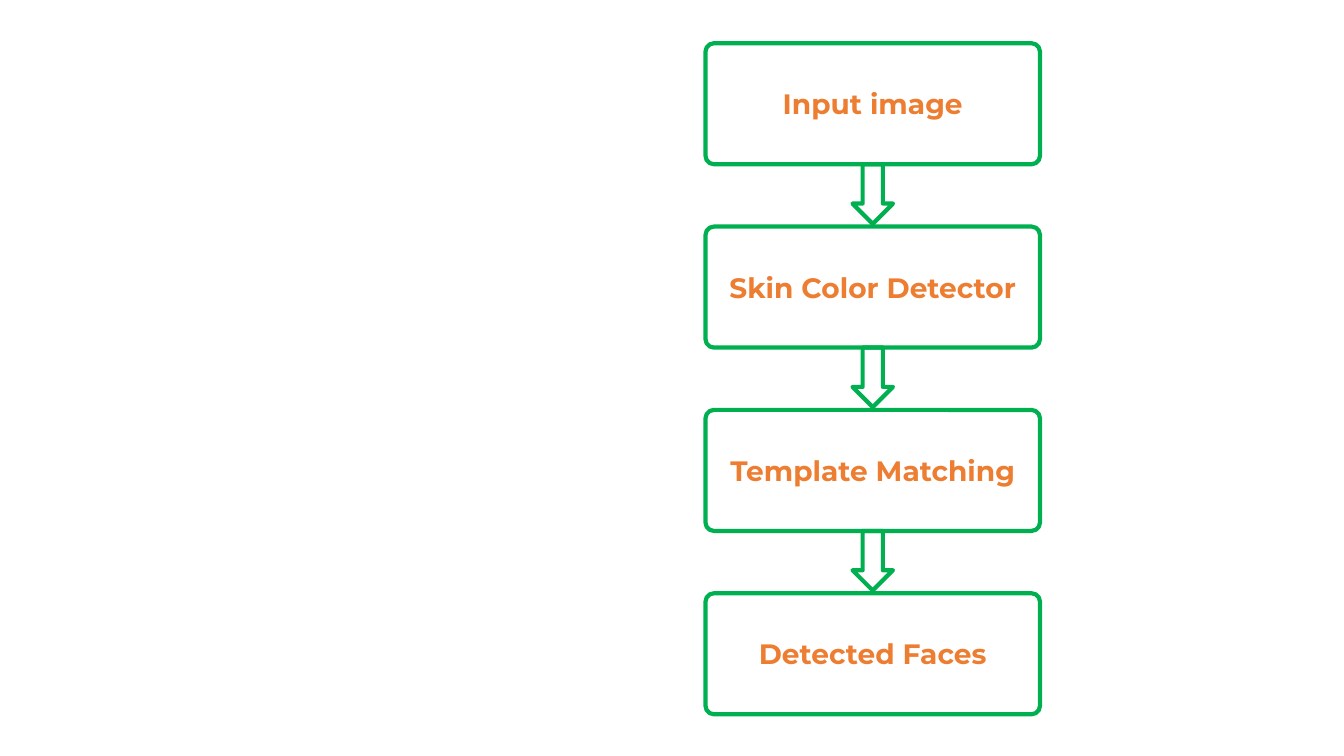
from dataclasses import dataclass

from pptx import Presentation
from pptx.dml.color import RGBColor as Rgb
from pptx.enum.shapes import MSO_SHAPE as Kind
from pptx.enum.text import MSO_ANCHOR as Anchor, PP_ALIGN as Align
from pptx.util import Cm, Pt


@dataclass(frozen=True)
class Theme:
    green: Rgb = Rgb(0x00, 0xB0, 0x50)
    orange: Rgb = Rgb(0xED, 0x7D, 0x31)
    font: str = "Montserrat"
    size: Pt = Pt(20)
    line: Pt = Pt(3)


theme = Theme()

deck = Presentation()
deck.slide_width, deck.slide_height = Cm(33.87), Cm(19.05)
slide = deck.slides.add_slide(deck.slide_layouts[6])


def outline(kind, left, top, width, height):
    shape = slide.shapes.add_shape(kind, Cm(left), Cm(top), Cm(width), Cm(height))
    shape.shadow.inherit = False
    shape.fill.background()
    shape.line.color.rgb = theme.green
    shape.line.width = theme.line
    return shape


def write(shape, text, size=theme.size, color=theme.orange, bold=True):
    frame = shape.text_frame
    frame.word_wrap = True
    frame.vertical_anchor = Anchor.MIDDLE
    para = frame.paragraphs[0]
    para.alignment = Align.CENTER
    run = para.add_run()
    run.text = text
    run.font.name, run.font.size, run.font.bold = theme.font, size, bold
    run.font.color.rgb = color


# Flow measures in centimetres
left, top, width, height = 17.78, 1.09, 8.43, 3.05
pitch = 4.62
tip_w, tip_h = 1.02, 1.5

steps = ["Input image", "Skin Color Detector", "Template Matching", "Detected Faces"]

# Step boxes
for i, step in enumerate(steps):
    box = outline(Kind.ROUNDED_RECTANGLE, left, top + i * pitch, width, height)
    box.adjustments[0] = 0.07
    write(box, step)

# Arrows from each box to the next
for i in range(len(steps) - 1):
    outline(Kind.DOWN_ARROW, left + (width - tip_w) / 2, top + i * pitch + height,
            tip_w, tip_h)

deck.save("out.pptx")
